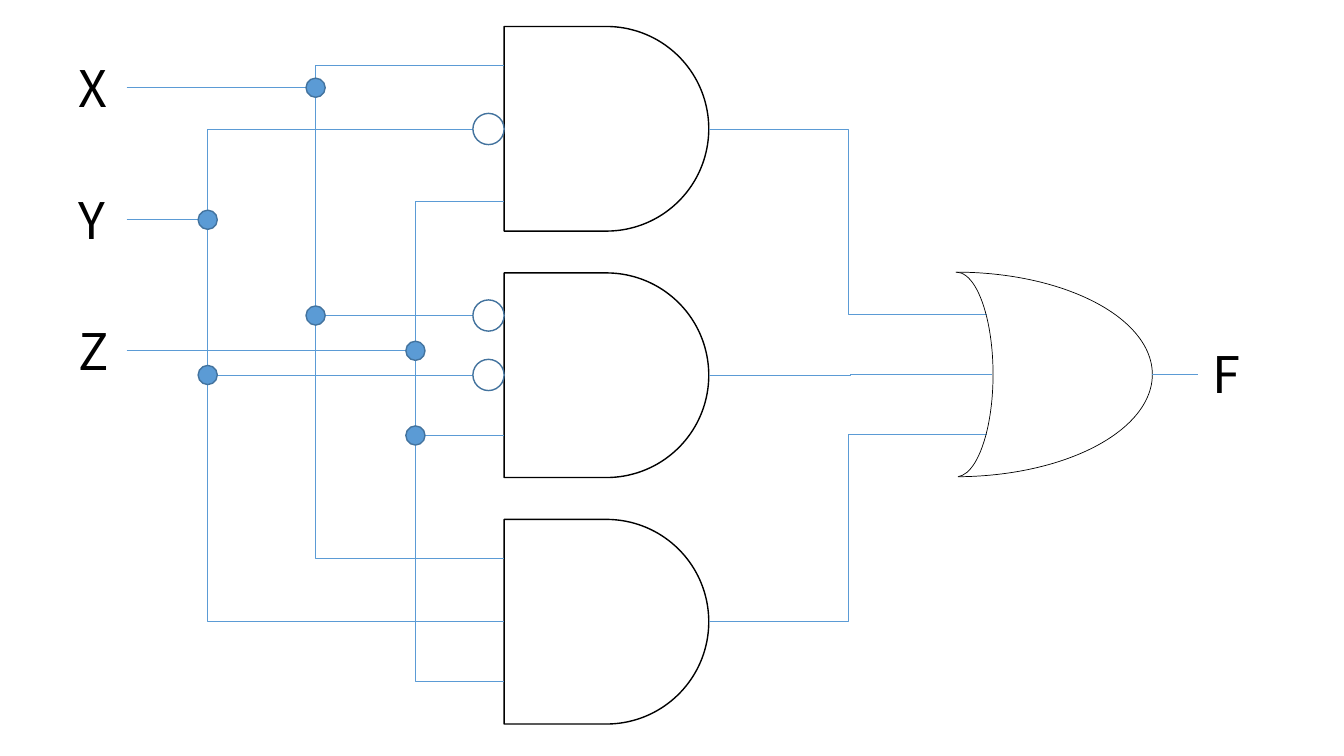
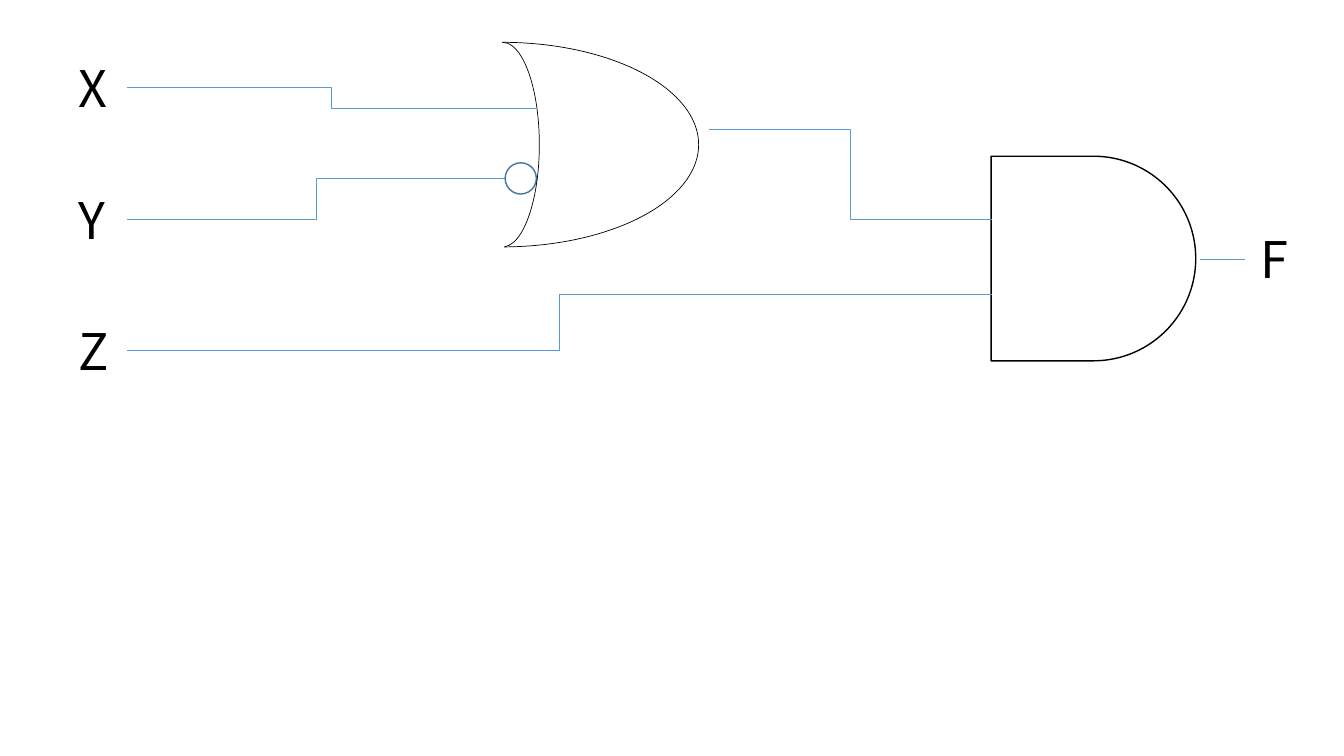
from dataclasses import dataclass

from lxml.etree import SubElement
from pptx import Presentation
from pptx.dml.color import RGBColor
from pptx.enum.shapes import MSO_CONNECTOR, MSO_SHAPE
from pptx.enum.text import MSO_AUTO_SIZE
from pptx.oxml.ns import qn
from pptx.util import Inches, Pt


@dataclass(frozen=True)
class Theme:
    ink: RGBColor = RGBColor.from_string("000000")
    paper: RGBColor = RGBColor.from_string("FFFFFF")
    accent: RGBColor = RGBColor.from_string("5B9BD5")
    rim: RGBColor = RGBColor.from_string("43739E")
    font: str = "Noto Sans CJK KR"
    label_size: float = 36
    outline: float = 1
    thin: float = 0.5


COLS, ROWS = 133.3, 75
GATE = 20.3
BUBBLE = 3.1
DOT = 1.9
LABEL_W, LABEL_H = 5.9, 7.1
INPUT_X = 12.6
INPUT_ROWS = {"X": 8.7, "Y": 21.8, "Z": 34.8}


class Circuit:
    def __init__(self):
        self.theme = Theme()
        self.prs = Presentation()
        self.prs.slide_width, self.prs.slide_height = Inches(13.33), Inches(7.5)
        self.s = None

    def new_slide(self):
        self.s = self.prs.slides.add_slide(self.prs.slide_layouts[6])

    def col(self, n):
        return round(self.prs.slide_width * n / COLS)

    def row(self, n):
        return round(self.prs.slide_height * n / ROWS)

    def box(self, x, y, w, h):
        return self.col(x), self.row(y), self.col(w), self.row(h)

    def shape(self, kind, x, y, w, h, fill, line, width, shapes=None):
        sp = (shapes or self.s.shapes).add_shape(kind, *self.box(x, y, w, h))
        sp.shadow.inherit = False
        if fill is None:
            sp.fill.background()
        else:
            sp.fill.solid()
            sp.fill.fore_color.rgb = fill
        sp.line.color.rgb = line
        sp.line.width = Pt(width)
        return sp

    def and_gate(self, x, y):
        t = self.theme
        self.shape(MSO_SHAPE.FLOWCHART_DELAY, x, y, GATE, GATE, t.paper, t.ink, t.outline)

    def or_gate(self, x, y):
        t = self.theme
        group = self.s.shapes.add_group_shape()
        for left, width in ((x, 7.3), (x - 15.9, 39)):
            arc = self.shape(MSO_SHAPE.ARC, left, y, width, GATE, None, t.ink, t.thin, group.shapes)
            arc.adjustments[0] = 162
            arc.adjustments[1] = 53.29

    def circle(self, x, y, size, fill):
        t = self.theme
        self.shape(MSO_SHAPE.OVAL, x - size / 2, y - size / 2, size, size, fill, t.rim, t.outline)

    def dot(self, x, y):
        self.circle(x, y, DOT, self.theme.accent)

    def bubble(self, right, y):
        self.circle(right - BUBBLE / 2, y, BUBBLE, self.theme.paper)

    def wire(self, x1, y1, x2, y2, bend=None):
        kind = MSO_CONNECTOR.STRAIGHT if y1 == y2 else MSO_CONNECTOR.ELBOW
        c = self.s.shapes.add_connector(
            kind, self.col(x1), self.row(y1), self.col(x2), self.row(y2))
        c.line.color.rgb = self.theme.accent
        c.line.width = Pt(self.theme.thin)
        props = c._element.spPr
        SubElement(props, qn("a:effectLst"))
        if bend is not None:
            guides = props.find(qn("a:prstGeom")).find(qn("a:avLst"))
            share = round((bend - x1) / (x2 - x1) * 100000)
            SubElement(guides, qn("a:gd"), name="adj1", fmla=f"val {share}")

    def label(self, text, x, y):
        t = self.theme
        tb = self.s.shapes.add_textbox(*self.box(x, y - LABEL_H / 2, LABEL_W, LABEL_H))
        tf = tb.text_frame
        tf.word_wrap = True
        tf.auto_size = MSO_AUTO_SIZE.SHAPE_TO_FIT_TEXT
        r = tf.paragraphs[0].add_run()
        r.text = text
        r.font.name = t.font
        r.font.size = Pt(t.label_size)
        r.font.color.rgb = t.ink

    def inputs(self):
        for name, y in INPUT_ROWS.items():
            self.label(name, 6.8, y)

    def output(self, x, y):
        self.wire(x, y, x + 4.5, y)
        self.label("F", x + 5, y)


def sum_of_products(c):
    c.new_slide()
    gate_x = 50
    gate_rows = [2.63 + 24.45 * i for i in range(3)]
    taps = {
        "X": (31.3, (6.5, 31.3, 55.4)),
        "Y": (20.6, (12.8, 37.2, 61.6)),
        "Z": (41.2, (20, 43.2, 67.6)),
    }
    for y in gate_rows:
        c.and_gate(gate_x, y)
    c.inputs()
    for name, (bend, ends) in taps.items():
        for end in ends:
            c.wire(INPUT_X, INPUT_ROWS[name], gate_x, end, bend)
    for name, (bend, ends) in taps.items():
        c.dot(bend, INPUT_ROWS[name])
        c.dot(bend, ends[1])
    for y in (12.8, 31.3, 37.2):
        c.bubble(gate_x, y)
    for y, x2, y2 in ((12.8, 97.9, 31.2), (37.2, 98.4, 37.1), (61.6, 97.9, 43.1)):
        c.wire(gate_x + GATE, y, x2, y2)
    c.or_gate(91.2, 27)
    c.output(114.3, 37.1)


def simplified(c):
    c.new_slide()
    c.and_gate(98.3, 15.5)
    c.inputs()
    for name, x2, y2 in (("X", 53.2, 10.8), ("Y", 50.1, 17.7), ("Z", 98.4, 29.2)):
        c.wire(INPUT_X, INPUT_ROWS[name], x2, y2)
    c.bubble(53.2, 17.7)
    c.wire(70.3, 12.8, 98.4, 21.8)
    c.or_gate(46.2, 4.2)
    c.output(119, 25.7)


def main():
    c = Circuit()
    sum_of_products(c)
    simplified(c)
    c.prs.save("out.pptx")


if __name__ == "__main__":
    main()
